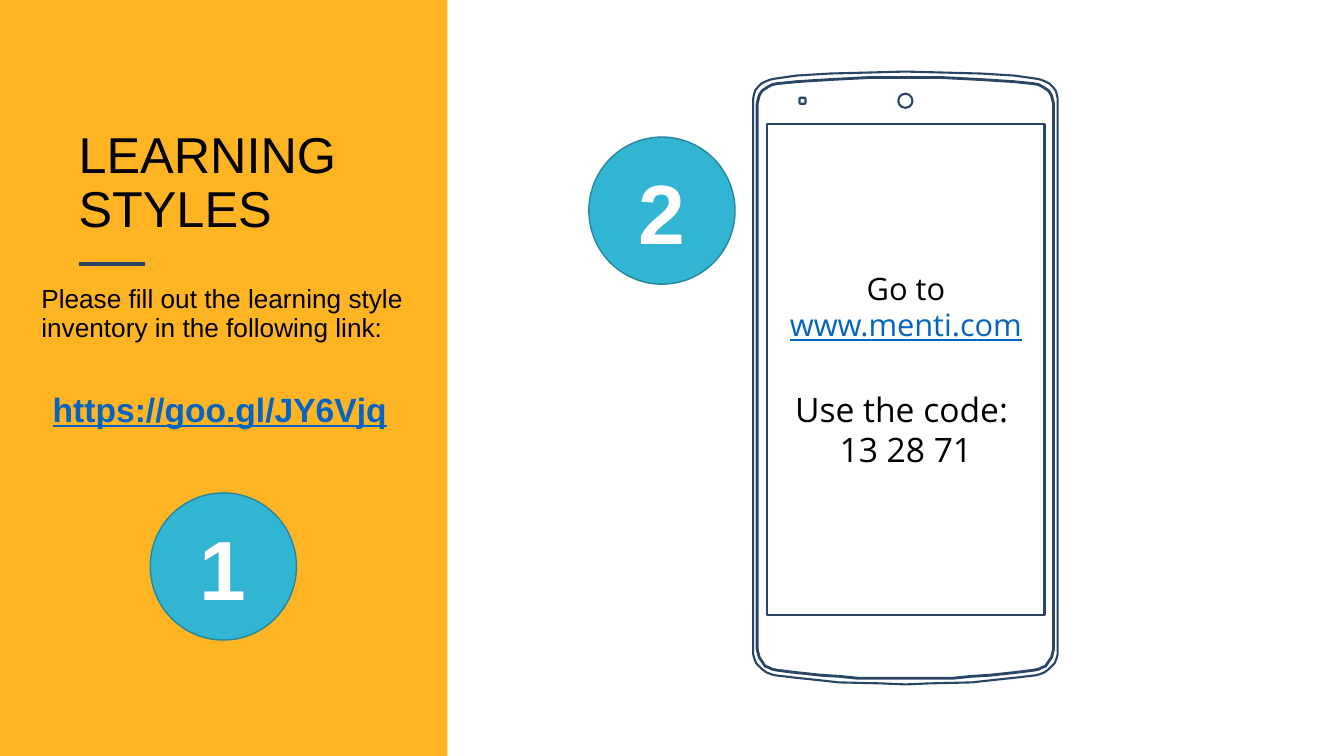
from lxml.etree import SubElement
from pptx import Presentation
from pptx.dml.color import RGBColor
from pptx.enum.shapes import MSO_CONNECTOR, MSO_SHAPE
from pptx.enum.text import MSO_ANCHOR, PP_ALIGN
from pptx.oxml.ns import qn
from pptx.util import Inches, Pt

ORANGE = RGBColor(0xFF, 0xA8, 0x00)
WHITE = RGBColor(0xFF, 0xFF, 0xFF)
BLACK = RGBColor(0x00, 0x00, 0x00)
NAVY = RGBColor(0x29, 0x46, 0x67)
LINK_BLUE = RGBColor(0x05, 0x63, 0xC1)
CYAN = RGBColor(0x32, 0xB5, 0xD3)
DARK_CYAN = RGBColor(0x25, 0x86, 0x9C)

# Right half of each phone outline, from top centre to bottom centre:
# distance from the centre line, distance from the top
CASE_EDGE = [
    (0, 0), (0.37, 0.01), (0.75, 0.02), (1.08, 0.04), (1.29, 0.07),
    (1.34, 0.08), (1.39, 0.1), (1.43, 0.12), (1.46, 0.15), (1.49, 0.19),
    (1.5, 0.22), (1.51, 0.27), (1.51, 5.78), (1.5, 5.82), (1.48, 5.87),
    (1.45, 5.9), (1.42, 5.93), (1.38, 5.96), (1.33, 5.98), (1.29, 5.99),
    (1.12, 6.01), (0.84, 6.04), (0.66, 6.06), (0.24, 6.07), (0, 6.08)]
FRONT_EDGE = [
    (0, 0.06), (0.37, 0.06), (0.75, 0.08), (1.07, 0.1), (1.27, 0.12),
    (1.32, 0.13), (1.36, 0.15), (1.39, 0.17), (1.42, 0.19), (1.44, 0.22),
    (1.45, 0.24), (1.46, 0.28), (1.47, 0.32), (1.47, 5.73), (1.46, 5.77),
    (1.45, 5.81), (1.43, 5.84), (1.41, 5.87), (1.39, 5.9), (1.36, 5.91),
    (1.32, 5.93), (1.27, 5.94), (1.11, 5.96), (0.83, 5.99), (0.66, 6),
    (0.46, 6.02), (0, 6.02)]


def style_shape(shape, fill, line=None, width=1.5):
    shape.shadow.inherit = False
    shape.fill.solid()
    shape.fill.fore_color.rgb = fill
    if line is None:
        shape.line.fill.background()
    else:
        shape.line.color.rgb = line
        shape.line.width = Pt(width)


def add_preset(slide, kind, left, top, width, height, fill, line=None, line_width=1.5):
    shape = slide.shapes.add_shape(
        kind, Inches(left), Inches(top), Inches(width), Inches(height))
    style_shape(shape, fill, line, line_width)
    return shape


def add_text_frame(slide, left, top, width, height, anchor):
    box = slide.shapes.add_textbox(
        Inches(left), Inches(top), Inches(width), Inches(height))
    frame = box.text_frame
    frame.word_wrap = True
    frame.vertical_anchor = anchor
    frame.margin_left = frame.margin_right = Inches(0.13)
    frame.margin_top = frame.margin_bottom = Inches(0.13)
    return frame


def format_font(font, name, size, color=BLACK, bold=False, underline=False):
    font.name = name
    font.size = Pt(size)
    font.color.rgb = color
    font.bold = bold
    font.underline = underline


def add_badge(slide, left, top, number):
    badge = add_preset(slide, MSO_SHAPE.OVAL, left, top, 1.45, 1.46, CYAN, DARK_CYAN, 1)
    badge.text_frame.text = number
    badge.text_frame.vertical_anchor = MSO_ANCHOR.MIDDLE
    paragraph = badge.text_frame.paragraphs[0]
    paragraph.alignment = PP_ALIGN.CENTER
    format_font(paragraph.runs[0].font, "Arial", 60, WHITE, bold=True)


def add_instruction_panel(slide, left, top, width, height):
    # Translucent background
    panel = add_preset(slide, MSO_SHAPE.RECTANGLE, left, top, width, height, ORANGE)
    color = panel.fill._xPr.find(qn("a:solidFill"))[0]
    SubElement(color, qn("a:alpha"), val="86000")

    # Title and rule
    title = add_text_frame(slide, left + 0.65, top + 1.22, 3.13, 1.28, MSO_ANCHOR.BOTTOM)
    title.text = "LEARNING STYLES"
    title.paragraphs[0].line_spacing = 0.9
    format_font(title.paragraphs[0].runs[0].font, "Arial", 36)
    rule = slide.shapes.add_connector(
        MSO_CONNECTOR.STRAIGHT, Inches(left + 0.78), Inches(top + 2.62),
        Inches(left + 1.44), Inches(top + 2.62))
    rule.line.color.rgb = NAVY
    rule.line.width = Pt(2.25)
    SubElement(rule._element.spPr, qn("a:effectLst"))

    # Instruction and address
    body = add_text_frame(slide, left + 0.28, top + 2.71, 3.99, 3.1, MSO_ANCHOR.TOP)
    body.text = "Please fill out the learning style inventory in the following link:"
    instruction = body.paragraphs[0]
    instruction.line_spacing = 0.9
    format_font(instruction.runs[0].font, "Arial", 18.7)
    address = body.add_paragraph()
    address.text = "https://goo.gl/JY6Vjq"
    address.alignment = PP_ALIGN.CENTER
    address.line_spacing = 0.9
    address.space_before = Pt(36)
    address._p.get_or_add_pPr().set("marR", str(Inches(0.19)))
    format_font(address.runs[0].font, "Arial", 24, LINK_BLUE, bold=True, underline=True)

    add_badge(slide, left + 1.49, top + 4.89, "1")


def add_phone_outline(slide, center, top, edge, line_width):
    mirrored = [(-offset, drop) for offset, drop in reversed(edge[1:-1])]
    points = [(Inches(center + offset), Inches(top + drop))
              for offset, drop in edge + mirrored]
    builder = slide.shapes.build_freeform(*points[0])
    builder.add_line_segments(points[1:], close=True)
    style_shape(builder.convert_to_shape(), WHITE, NAVY, line_width)


def add_phone(slide, left, top, width):
    center = left + width / 2

    # Case, speaker, camera and screen
    add_phone_outline(slide, center, top, CASE_EDGE, 1.5)
    add_phone_outline(slide, center, top, FRONT_EDGE, 2)
    add_preset(slide, MSO_SHAPE.ROUNDED_RECTANGLE, left + 0.46, top + 0.26,
               0.06, 0.06, WHITE, NAVY)
    add_preset(slide, MSO_SHAPE.OVAL, center - 0.07, top + 0.22, 0.14, 0.14, WHITE, NAVY)
    screen = (left + 0.14, top + 0.52, 2.75, 4.87)
    add_preset(slide, MSO_SHAPE.RECTANGLE, *screen, WHITE, NAVY)

    # Screen text
    frame = add_text_frame(slide, *screen, MSO_ANCHOR.MIDDLE)
    visit = frame.paragraphs[0]
    visit.text = "Go to "
    format_font(visit.runs[0].font, "Open Sans", 22)
    address = visit.add_run()
    address.text = "www.menti.com"
    format_font(address.font, "Open Sans", 22, LINK_BLUE, underline=True)
    for text in ("Use the code: ", "13 28 71"):
        paragraph = frame.add_paragraph()
        paragraph.text = text
        format_font(paragraph.runs[0].font, "Open Sans", 24)
    frame.paragraphs[1].space_before = Pt(32.7)
    for paragraph in frame.paragraphs:
        paragraph.alignment = PP_ALIGN.CENTER


def add_code_panel(slide, left, top, width, height):
    add_preset(slide, MSO_SHAPE.RECTANGLE, left, top, width, height, WHITE)
    add_phone(slide, left + 3.03, top + 0.71, 3.02)
    add_badge(slide, left + 1.4, top + 1.36, "2")


def main():
    presentation = Presentation()
    presentation.slide_width = Inches(13.33)
    presentation.slide_height = Inches(7.5)
    slide = presentation.slides.add_slide(presentation.slide_layouts[6])
    add_instruction_panel(slide, 0, 0, 4.44, 7.5)
    add_code_panel(slide, 4.44, 0, 8.89, 7.5)
    presentation.save("out.pptx")


if __name__ == "__main__":
    main()
